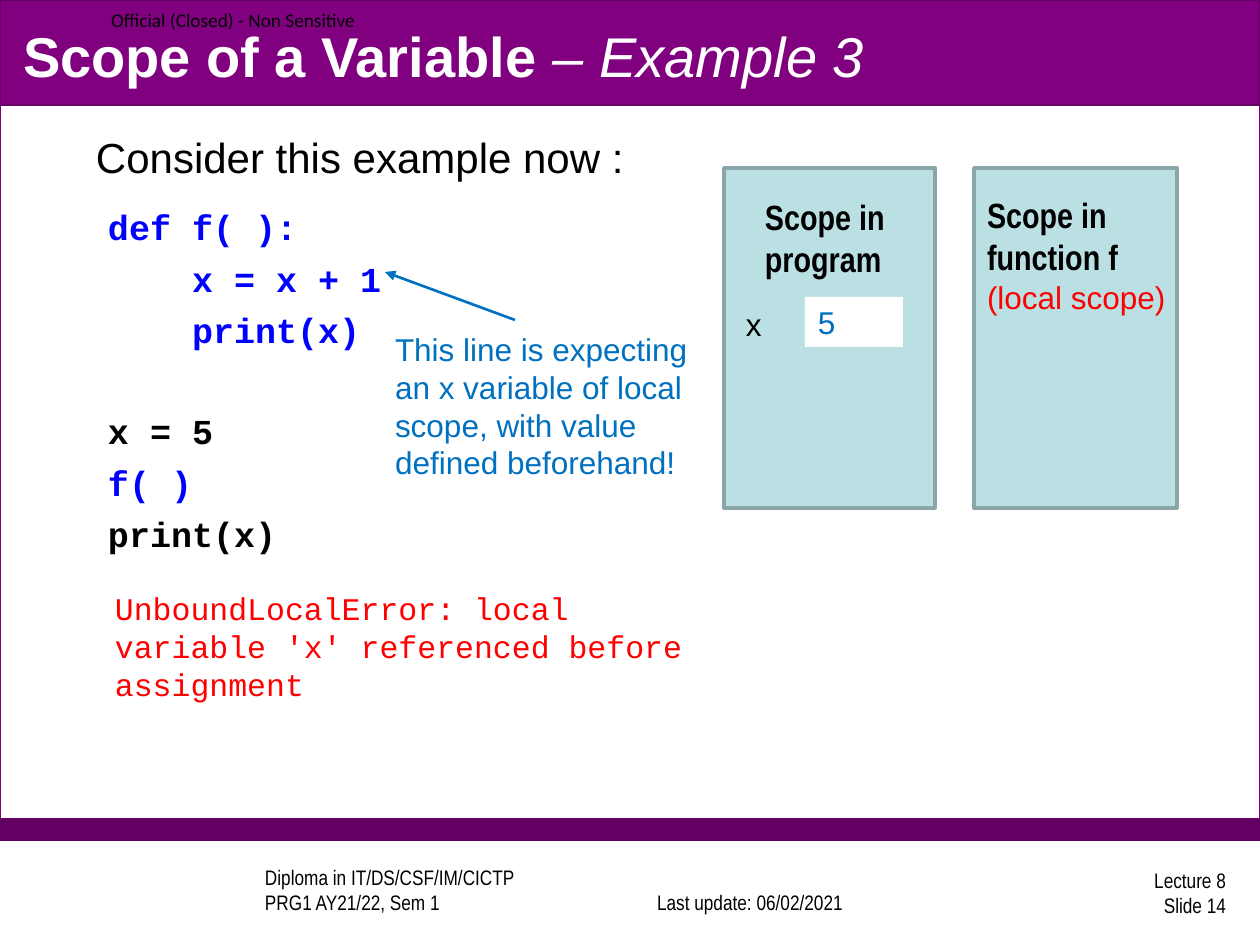
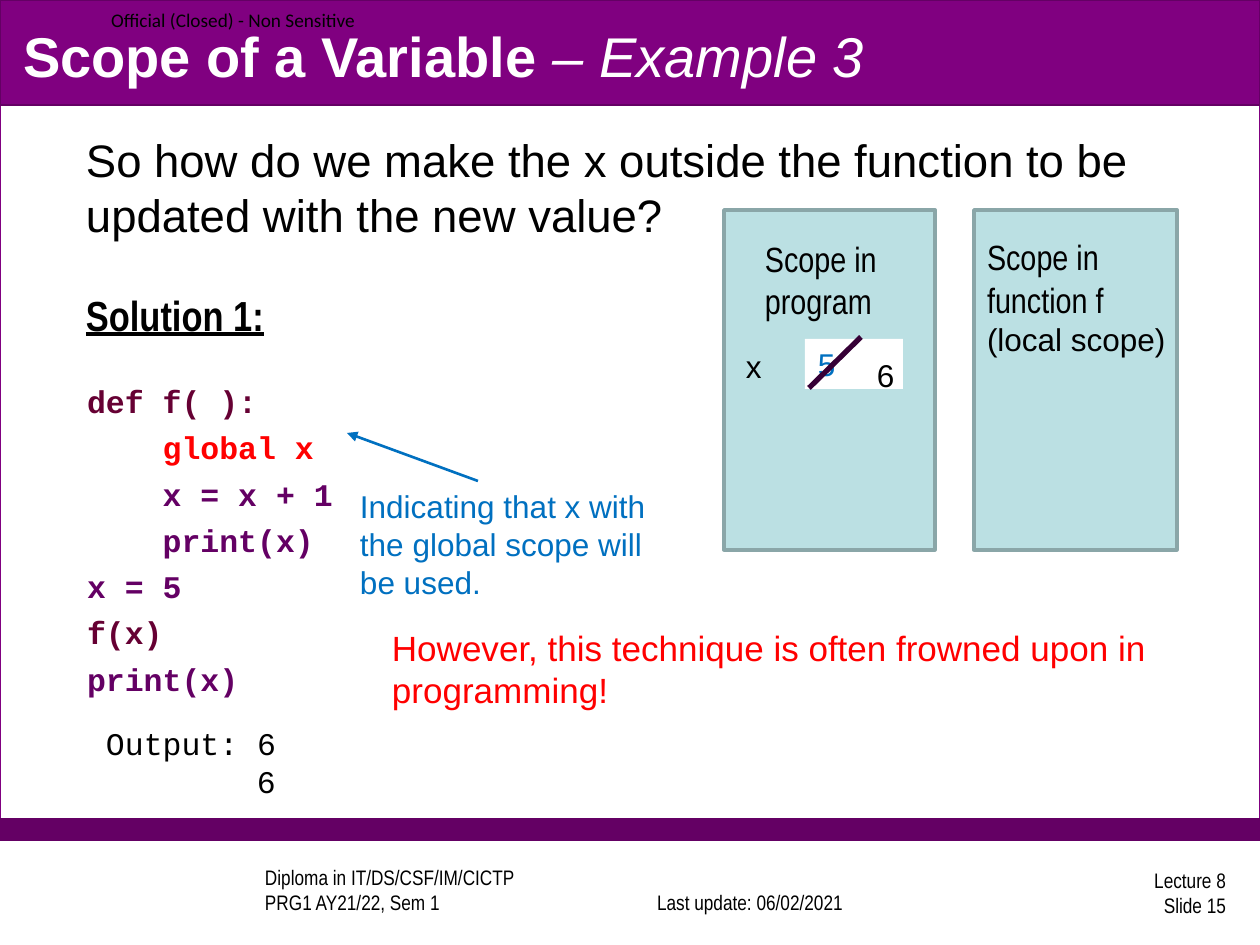
from lxml import etree
from pptx import Presentation
from pptx.dml.color import RGBColor
from pptx.enum.shapes import MSO_CONNECTOR, MSO_SHAPE
from pptx.enum.text import MSO_ANCHOR, PP_ALIGN
from pptx.oxml.ns import qn
from pptx.util import Pt

RECT, LINE = MSO_SHAPE.RECTANGLE, MSO_CONNECTOR.STRAIGHT
TOP, MID, LOW = MSO_ANCHOR.TOP, MSO_ANCHOR.MIDDLE, MSO_ANCHOR.BOTTOM
LEFT, MIDST, RIGHT = PP_ALIGN.LEFT, PP_ALIGN.CENTER, PP_ALIGN.RIGHT

PX = 914400 / 126
SANS, SLIM, MONO, MARK = "Arial", "Arial Narrow", "Courier New", "Calibri"
WHITE, BLACK, RED, BLUE, SKY = "FFFFFF", "000000", "FF0000", "0000FF", "0070C0"
PURPLE, PLUM, WINE, DARK = "800080", "640064", "660033", "360036"
PANEL, EDGE = "BBE0E3", "8AA6A8"
PAD = (13, 6, 13, 6)

TITLE = [("Scope of a Variable ", {"bold": True}), ("– Example 3", {"italic": True})]
LABEL = "Official (Closed) - Non Sensitive"
COURSE = ["Diploma in IT/DS/CSF/IM/CICTP", "PRG1 AY21/22, Sem 1"]
UPDATE = "Last update: 06/02/2021"

# One (line, colour) pair per line of code; an optional third item is the gap in points
LOCAL = [("def f( ):", BLUE), ("    x = x + 1", BLUE), ("    print(x)", BLUE),
         ("x = 5", BLACK, 33.5), ("f( )", BLUE), ("print(x)", BLACK)]
GLOBAL = [("def f( ):", WINE), ("    global x", RED), ("    x = x + 1", PLUM),
          ("    print(x)", PLUM), ("x = 5", PLUM), ("f(x)", WINE), ("print(x)", PLUM)]

ERROR = "UnboundLocalError: local variable 'x' referenced before assignment"
EXPECT = ("This line is expecting an x variable of local scope, "
          "with value defined beforehand!")
ASK = "So how do we make the x outside the function to be updated with the new value?"
HINT = "Indicating that x with the global scope will be used."
FROWN = "However, this technique is often frowned upon in programming!"


def px(*nums):
    return [round(n * PX) for n in nums]


def rgb(code):
    return RGBColor.from_string(code)


def style(font, size=None, face=None, color=None, **flags):
    """Set only the given traits; flags are bold, italic and underline."""
    if size:
        font.size = Pt(size)
    if face:
        font.name = face
    if color:
        font.color.rgb = rgb(color)
    for name, value in flags.items():
        setattr(font, name, value)


def rect(slide, spot, fill, edge=None, width=0.75):
    shape = slide.shapes.add_shape(RECT, *px(*spot))
    shape.shadow.inherit = False
    shape.fill.solid()
    shape.fill.fore_color.rgb = rgb(fill)
    if edge:
        shape.line.color.rgb = rgb(edge)
        shape.line.width = Pt(width)
    else:
        shape.line.fill.background()
    return shape


def write(slide, spot, paras, size=18, face=SANS, color=BLACK, fill=None,
          pad=PAD, anchor=TOP, align=LEFT, **flags):
    """Place text; a paragraph is a string, a list of runs or (text, traits)."""
    box = rect(slide, spot, fill) if fill else slide.shapes.add_textbox(*px(*spot))
    frame = box.text_frame
    frame.word_wrap = True
    frame.vertical_anchor = anchor
    (frame.margin_left, frame.margin_top,
     frame.margin_right, frame.margin_bottom) = px(*pad)
    for i, item in enumerate([paras] if isinstance(paras, str) else paras):
        para = frame.add_paragraph() if i else frame.paragraphs[0]
        body, traits = item if isinstance(item, tuple) else (item, {})
        look = {"size": size, "face": face, "color": color, **flags, **traits}
        para.alignment = align
        gap, indent = look.pop("gap", 0), look.pop("indent", 0)
        if gap and i:
            para.space_before = Pt(gap)
        if indent:
            para._p.get_or_add_pPr().set("marL", str(px(indent)[0]))
        style(para.font, **look)
        for words, extra in [(body, {})] if isinstance(body, str) else body:
            run = para.add_run()
            run.text = words
            style(run.font, **extra)


def line(slide, start, end, color, width, arrow=False):
    link = slide.shapes.add_connector(LINE, *px(*start, *end))
    link.line.color.rgb = rgb(color)
    link.line.width = Pt(width)
    props = link._element.spPr
    if arrow:
        etree.SubElement(link.line._get_or_add_ln(), qn("a:tailEnd"), type="triangle")
    etree.SubElement(props, qn("a:effectLst"))


def code(slide, spot, rows, size):
    step = size * 0.27
    paras = [(text, {"color": hue, "gap": gap[0] if gap else step})
             for text, hue, *gap in rows]
    write(slide, spot, paras, size, MONO, pad=(13, 14, 13, 6), bold=True)


def scopes(slide, top, bold, hue):
    """Draw the program and function panels, with x and its value."""
    for left, width in ((724, 211), (974, 203)):
        rect(slide, (left, top, width, 340), PANEL, EDGE, 2)
    write(slide, (752, top + 21, 151, 97), "Scope in program", 20, SLIM, bold=bold)
    plain = {"size": 18, "face": SANS, "bold": False, "color": hue}
    label = [("Scope in function f", {}), (" (local scope)", plain)]
    write(slide, (974, top + 20, 211, 136), [label], 20, SLIM, bold=bold)
    write(slide, (733, top + 131, 151, 50), "x")
    write(slide, (805, top + 129, 98, 50), "5", color=SKY, fill=WHITE)


def base(deck, number):
    """Add a slide with the bands, title and footers."""
    slide = deck.slides.add_slide(deck.slide_layouts[6])
    rect(slide, (0, 0, 1260, 840), WHITE, PURPLE)
    rect(slide, (0, 819, 1260, 21), PLUM, PLUM)
    rect(slide, (0, 0, 1260, 105), PURPLE, PLUM)
    small = {"size": 12, "face": SLIM}
    write(slide, (189, 868, 399, 53), COURSE, pad=(76, 6, 13, 6), anchor=LOW, **small)
    write(slide, (619, 868, 262, 53), UPDATE, anchor=LOW, align=MIDST, **small)
    write(slide, (977, 866, 262, 53), ["Lecture 8", f"Slide {number}"],
          anchor=MID, align=RIGHT, **small)
    write(slide, (111, 0, 268, 39), LABEL, 11, MARK, pad=(0, 0, 0, 0), anchor=MID)
    write(slide, (10, 16, 1239, 78), [TITLE], 32, color=WHITE, anchor=MID)
    return slide


def unbound(deck):
    slide = base(deck, 14)
    write(slide, (83, 126, 558, 63), "Consider this example now :", 24)
    code(slide, (95, 192, 725, 387), LOCAL, 20)
    write(slide, (102, 583, 631, 127), ERROR, face=MONO, color=RED, fill=WHITE)
    scopes(slide, 168, True, RED)
    write(slide, (382, 324, 347, 165), EXPECT, color=SKY)
    line(slide, (515, 320), (385, 272), SKY, 1.5, True)


def solution(deck):
    slide = base(deck, 15)
    head = {"size": 24, "face": SLIM, "bold": True, "underline": True, "gap": 27.6}
    write(slide, (73, 126, 1144, 233), [ASK, ("Solution 1:", head)], 26)
    code(slide, (74, 368, 725, 387), GLOBAL, 18)
    write(slide, (347, 481, 347, 127), HINT, color=SKY)
    line(slide, (478, 481), (347, 433), SKY, 1.5, True)
    scopes(slide, 210, False, BLACK)
    line(slide, (861, 337), (809, 388), DARK, 3)
    write(slide, (864, 350, 98, 50), "6")
    write(slide, (379, 620, 871, 97), FROWN, 20, color=RED)
    write(slide, (93, 718, 252, 89), ["Output: 6", ("6", {"indent": 151})],
          face=MONO, fill=WHITE)


def main():
    deck = Presentation()
    deck.slide_width, deck.slide_height = px(1260, 945)
    unbound(deck)
    solution(deck)
    deck.save("out.pptx")


if __name__ == "__main__":
    main()
